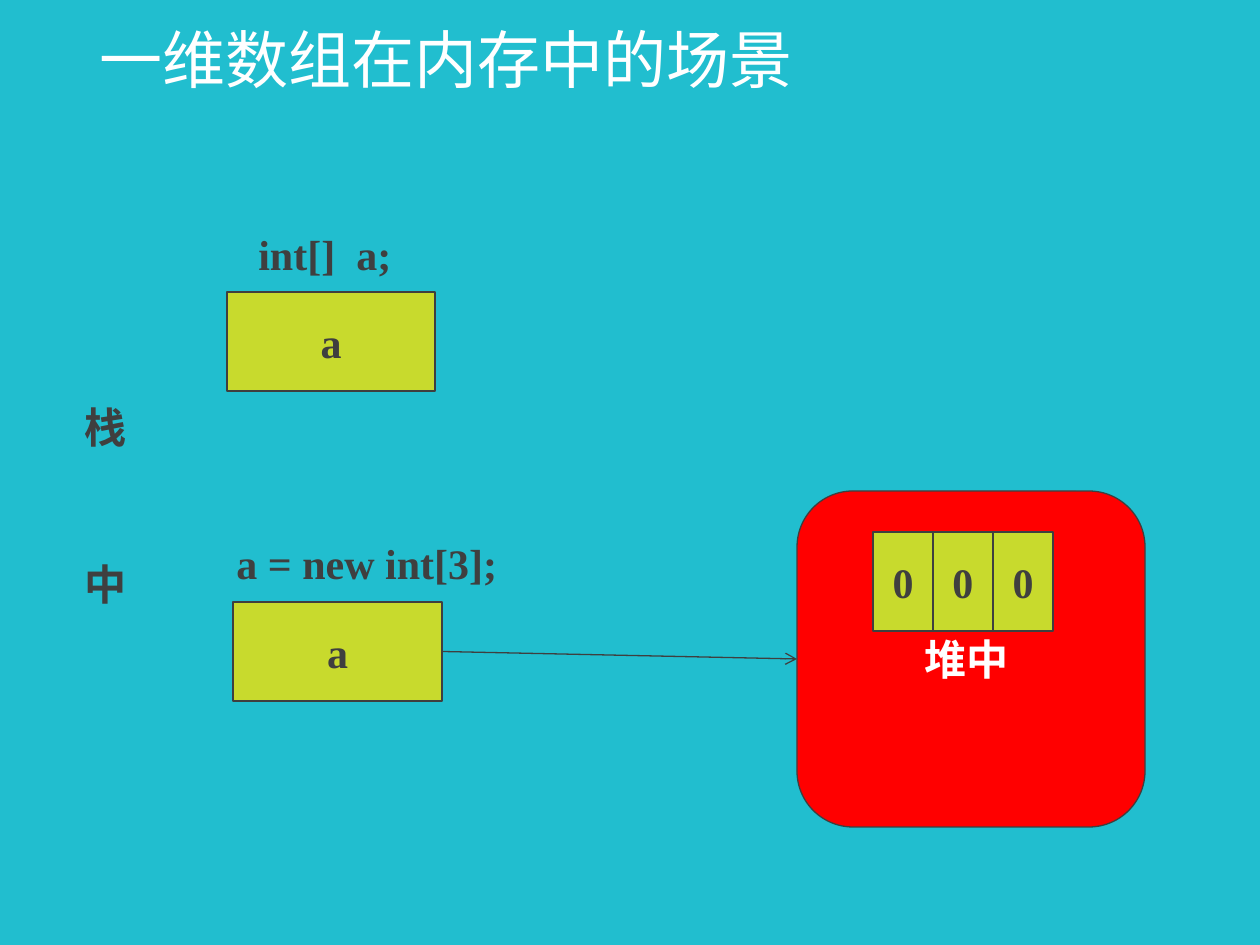
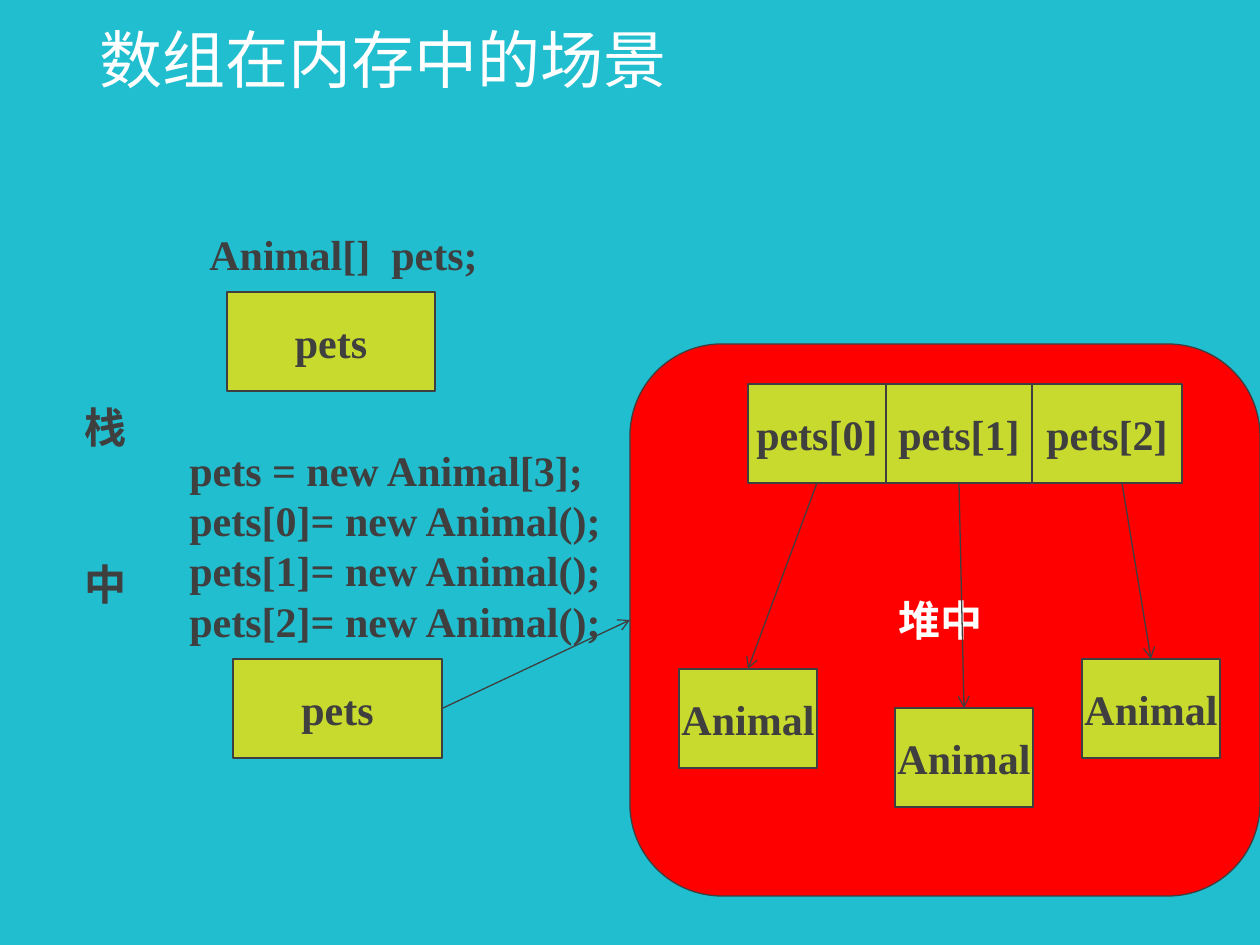
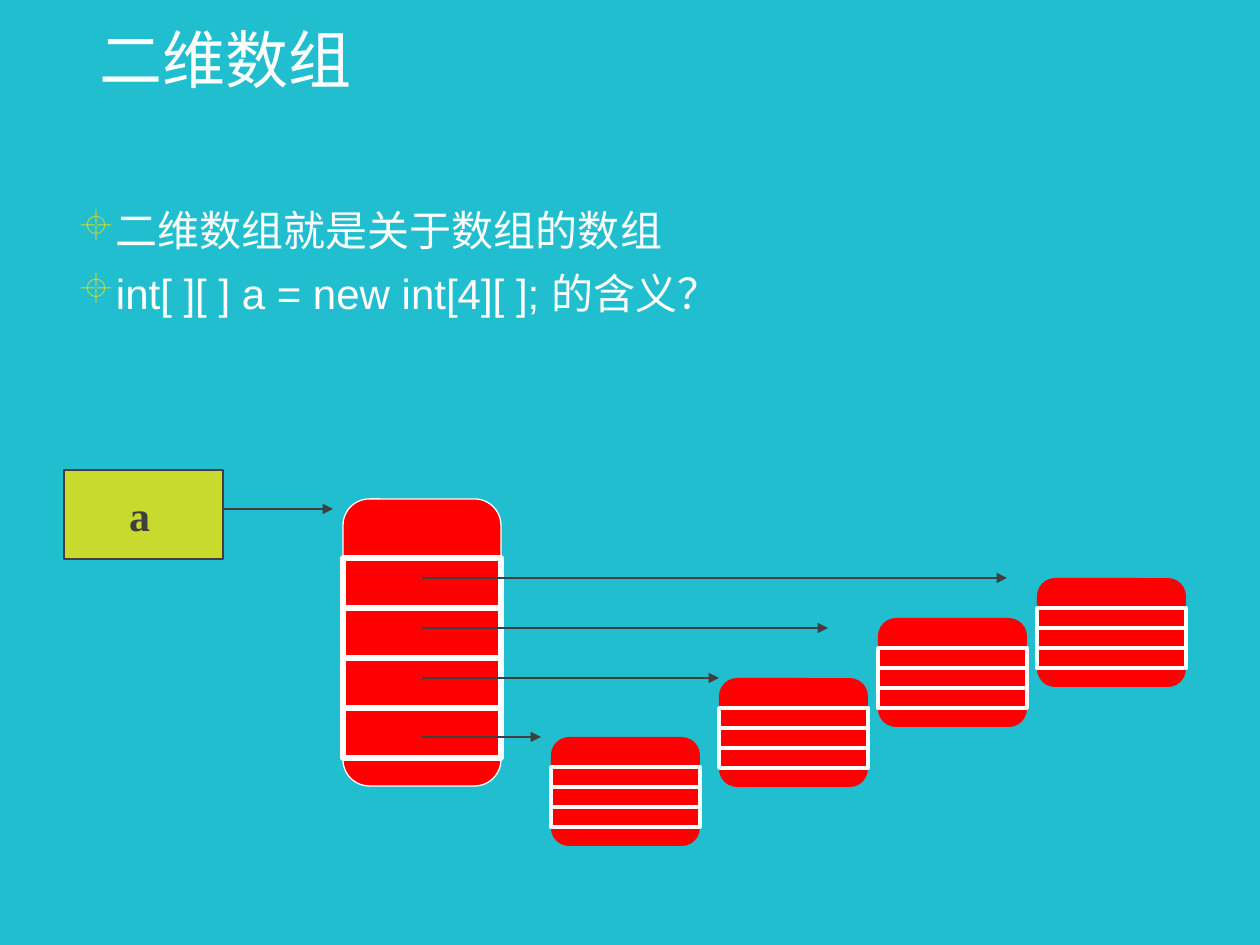
import pptx
import pptx.util
import pptx.dml.color
import pptx.enum.shapes
import pptx.enum.text
import pptx.oxml
import pptx.oxml.ns
from lxml import etree

RGBColor = pptx.dml.color.RGBColor
TEAL = RGBColor(0x21, 0xBE, 0xCF)
LIME = RGBColor(0xC8, 0xDA, 0x2D)
GRAY = RGBColor(0x3F, 0x3F, 0x3F)
RED = RGBColor(0xFF, 0x00, 0x00)
WHITE = RGBColor(0xFF, 0xFF, 0xFF)

SERIF = "Times New Roman"
SANS = "Arial"
BULLET_FONT = "Wingdings"
CROSSHAIR = "±"
SHAPE = pptx.enum.shapes.MSO_SHAPE
ALIGN = pptx.enum.text.PP_ALIGN
MIDDLE = pptx.enum.text.MSO_ANCHOR.MIDDLE
TOP, LEFT, BOTTOM, RIGHT = range(4)
CELL_HEIGHT = 99


def px(length):
    return round(length * 914400 / 126)


def emu(*lengths):
    return [px(length) for length in lengths]


def qualified(tag):
    return pptx.oxml.ns.qn(tag)


def add_span(para, text, size=24, font=SERIF, color=GRAY, bold=True, tracking=0):
    span = para.add_run()
    span.text = text
    span.font.size = pptx.util.Pt(size)
    span.font.name = font
    span.font.bold = bold
    span.font.color.rgb = color
    if tracking:
        span.font._element.set("spc", str(tracking * 100))


def add_text_box(page, box):
    frame = page.shapes.add_textbox(*emu(*box)).text_frame
    frame.word_wrap = True
    return frame


def add_panel(shapes, kind, box, fill=None, line=None, weight=0.75):
    panel = shapes.add_shape(kind, *emu(*box))
    panel.shadow.inherit = False
    if fill is None:
        panel.fill.background()
    else:
        panel.fill.solid()
        panel.fill.fore_color.rgb = fill
    if line is None:
        panel.line.fill.background()
    else:
        panel.line.color.rgb = line
        panel.line.width = pptx.util.Pt(weight)
    return panel


def add_label(panel, text, color=GRAY):
    frame = panel.text_frame
    frame.word_wrap = False
    frame.vertical_anchor = MIDDLE
    para = frame.paragraphs[0]
    para.alignment = ALIGN.CENTER
    add_span(para, text, color=color)


def add_cell(page, box, text):
    cell = add_panel(page.shapes, SHAPE.RECTANGLE, box, LIME, GRAY)
    add_label(cell, text)
    return cell


def add_array(page, left, top, widths, texts):
    cells = []
    for width, text in zip(widths, texts):
        cells.append(add_cell(page, (left, top, width, CELL_HEIGHT), text))
        left += width
    return cells


def add_heap(page, box):
    heap = add_panel(page.shapes, SHAPE.FLOWCHART_ALTERNATE_PROCESS, box, RED, GRAY)
    add_label(heap, "堆中 ", WHITE)
    return heap


def add_arrow(page, start=(0, 0), end=(0, 0), head="arrow"):
    arrow = page.shapes.add_connector(
        pptx.enum.shapes.MSO_CONNECTOR.STRAIGHT, *emu(*start, *end))
    arrow.line.color.rgb = GRAY
    arrow.line.width = pptx.util.Pt(0.75)
    etree.SubElement(arrow.line._get_or_add_ln(), qualified("a:tailEnd"), type=head)
    etree.SubElement(arrow._element.spPr, qualified("a:effectLst"))
    return arrow


def join(page, source, exit_side, target, entry_side):
    arrow = add_arrow(page)
    arrow.begin_connect(source, exit_side)
    arrow.end_connect(target, entry_side)


def add_page(deck, title):
    page = deck.slides.add_slide(deck.slide_layouts[6])
    page.background.fill.solid()
    page.background.fill.fore_color.rgb = TEAL
    frame = add_text_box(page, (87, 0, 1086, 126))
    frame.vertical_anchor = MIDDLE
    para = frame.paragraphs[0]
    para.line_spacing = 0.9
    add_span(para, title, 36, SANS, WHITE, False)
    return page


def add_code(page, box, lines):
    frame = add_text_box(page, box)
    for index, line in enumerate(lines):
        para = frame.add_paragraph() if index else frame.paragraphs[0]
        add_span(para, line)


def add_declaration(page, box, kind, name):
    para = add_text_box(page, box).paragraphs[0]
    add_span(para, kind)
    add_span(para, " ", tracking=6)
    add_span(para, name + ";")


def add_stack_label(page, box):
    frame = add_text_box(page, box)
    frame._txBody.bodyPr.set("vert", "eaVert")
    para = frame.paragraphs[0]
    add_span(para, "栈", tracking=66)
    add_span(para, "中")


def add_stack(page, kind, name, declaration_box, code_box, code, variable_top):
    add_cell(page, (227, 292, 208, CELL_HEIGHT), name)
    add_declaration(page, declaration_box, kind, name)
    add_code(page, code_box, code)
    add_stack_label(page, (58, 394, 77, 241))
    return add_cell(page, (233, variable_top, 209, CELL_HEIGHT), name)


def add_bullets(page, box, lines):
    frame = add_text_box(page, box)
    for index, line in enumerate(lines):
        para = frame.add_paragraph() if index else frame.paragraphs[0]
        para.line_spacing = 0.9
        para.space_before = pptx.util.Pt(10)
        add_span(para, line, 24, SANS, WHITE, False)
        settings = para._p.get_or_add_pPr()
        settings.set("marL", str(px(50)))
        settings.set("indent", str(px(-35)))
        tint = etree.SubElement(settings, qualified("a:buClr"))
        etree.SubElement(tint, qualified("a:srgbClr"), val=str(LIME))
        etree.SubElement(settings, qualified("a:buFont"),
                         typeface=BULLET_FONT, charset="2")
        etree.SubElement(settings, qualified("a:buChar"), char=CROSSHAIR)


def add_memory_block(shapes, box, inset, row_height, rows, weight, outline=None):
    left, top, width, height = box
    body = add_panel(shapes, SHAPE.ROUNDED_RECTANGLE, box, RED, outline)
    body.adjustments[0] = 0.167
    for row in range(rows):
        row_box = (left, top + inset + row * row_height, width, row_height)
        add_panel(shapes, SHAPE.RECTANGLE, row_box, None, WHITE, weight)


def build_int_array(deck):
    page = add_page(deck, "一维数组在内存中的场景")
    variable = add_stack(page, "int[]", "a", (246, 222, 179, 63),
                         (224, 531, 348, 63), ["a = new int[3];"], 602)
    heap = add_heap(page, (797, 491, 348, 336))
    join(page, variable, RIGHT, heap, LEFT)
    add_array(page, 873, 532, [60] * 3, ["0"] * 3)


def build_object_array(deck):
    page = add_page(deck, "数组在内存中的场景")
    names = [f"pets[{index}]" for index in range(3)]
    code = ["pets = new Animal[3];"] + [f"{name}= new Animal();" for name in names]
    variable = add_stack(page, "Animal[]", "pets", (197, 222, 295, 64),
                         (177, 438, 446, 217), code, 659)
    heap = add_heap(page, (630, 344, 630, 552))
    join(page, variable, RIGHT, heap, LEFT)
    cells = add_array(page, 748, 384, [138, 146, 150], names)
    animals = [add_cell(page, (left, top, 138, CELL_HEIGHT), "Animal")
               for left, top in [(679, 669), (895, 708), (1082, 659)]]
    for cell, animal in zip(cells[:2], animals):
        join(page, cell, BOTTOM, animal, TOP)
    add_arrow(page, (1122, 483)).end_connect(animals[2], TOP)


def build_nested_array(deck):
    page = add_page(deck, "二维数组")
    add_bullets(page, (50, 204, 1131, 219),
                ["二维数组就是关于数组的数组", "int[ ][ ] a = new int[4][ ]; 的含义？"])
    variable = add_cell(page, (64, 470, 159, 89), "a")
    variable.text_frame.margin_right = px(20)
    add_memory_block(page.shapes, (343, 499, 158, 287), 59, 50, 4, 3, WHITE)
    add_arrow(page, (223, 509), (333, 509), "triangle")
    for tip, height in [(1007, 578), (828, 628), (719, 678), (541, 737)]:
        add_arrow(page, (422, height), (tip, height), "triangle")
    for left, top in [(1037, 578), (878, 618), (719, 678), (551, 737)]:
        group = page.shapes.add_group_shape()
        add_memory_block(group.shapes, (left, top, 149, 109), 30, 20, 3, 2)


def main():
    deck = pptx.Presentation()
    deck.slide_width, deck.slide_height = emu(1260, 945)
    build_int_array(deck)
    build_object_array(deck)
    build_nested_array(deck)
    deck.save("out.pptx")


if __name__ == "__main__":
    main()
